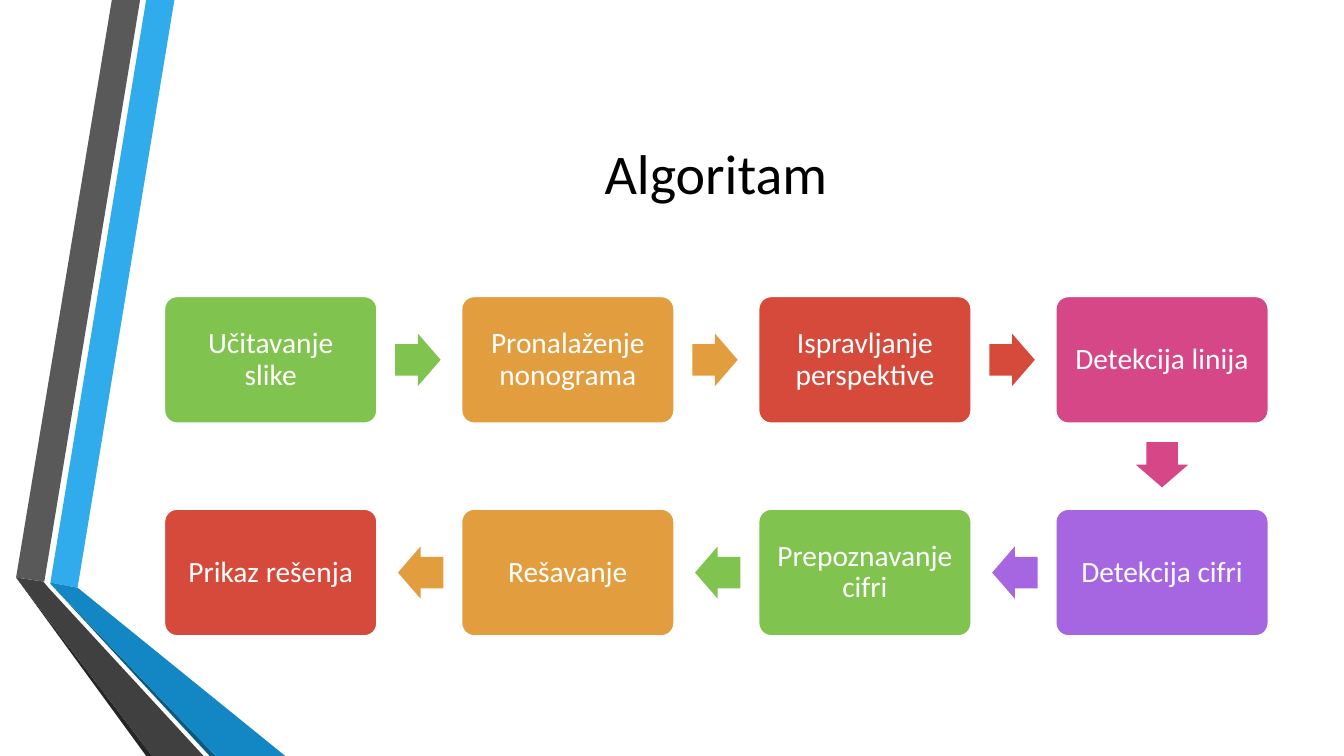
import pptx
import pptx.dml.color
import pptx.enum.shapes
import pptx.enum.text
import pptx.util

Inches = pptx.util.Inches
SHAPES = pptx.enum.shapes.MSO_SHAPE

RIBBONS = [
    ("30ACEC", [(0.5, 5.78), (0.77, 5.83), (1.73, 0), (1.45, 0)]),
    ("595959", [(1.39, 0), (1.11, 0), (0.16, 5.73), (0.44, 5.77)]),
    ("262626", [(0.16, 5.73), (1.45, 7.5), (1.51, 7.5)]),
    ("0C5A82", [(0.5, 5.79), (2.08, 7.5), (2.14, 7.5)]),
    ("1287C3", [(0.5, 5.79), (2.14, 7.5), (2.83, 7.5), (0.77, 5.83), (0.5, 5.78)]),
    ("404040", [(2.02, 7.5), (0.48, 5.83), (0.43, 5.77), (0.16, 5.73), (1.51, 7.5)]),
]
STEPS = [
    ("Učitavanje slike", "80C34F"),
    ("Pronalaženje nonograma", "E29D3E"),
    ("Ispravljanje perspektive", "D64A3B"),
    ("Detekcija linija", "D64787"),
    ("Detekcija cifri", "A666E1"),
    ("Prepoznavanje cifri", "80C34F"),
    ("Rešavanje", "E29D3E"),
    ("Prikaz rešenja", "D64A3B"),
]
COLUMNS = 4
STEP_WIDTH, STEP_HEIGHT = 2.11, 1.26
ARROW_WIDTH, ARROW_HEIGHT = 0.45, 0.52
ARROW_PLACES = {0: (2.29, 0.37), 90: (0.83, 1.41), 180: (-0.63, 0.37)}


def color(value):
    """Turn a hex string into a colour."""
    return pptx.dml.color.RGBColor.from_string(value)


def apply_format(target, values):
    """Set each attribute of the target from a dict."""
    for name, value in values.items():
        setattr(target, name, value)


def paint(shape, fill, line=None):
    """Give a shape a flat fill and an optional outline."""
    shape.shadow.inherit = False
    shape.fill.solid()
    shape.fill.fore_color.rgb = color(fill)
    if line:
        shape.line.color.rgb = color(line)
        shape.line.width = pptx.util.Pt(1.25)
    else:
        shape.line.fill.background()


def write_text(shape, text, size, text_color, margin, paragraph_format):
    """Write one centred paragraph into a shape."""
    frame = shape.text_frame
    frame.text = text
    apply_format(frame, {
        "word_wrap": True,
        "auto_size": pptx.enum.text.MSO_AUTO_SIZE.NONE,
        "vertical_anchor": pptx.enum.text.MSO_ANCHOR.MIDDLE,
        "margin_left": Inches(margin),
        "margin_right": Inches(margin),
    })
    paragraph = frame.paragraphs[0]
    paragraph.alignment = pptx.enum.text.PP_ALIGN.CENTER
    apply_format(paragraph, paragraph_format)
    font = paragraph.runs[0].font
    apply_format(font, {"name": "Calibri", "size": pptx.util.Pt(size)})
    font.color.rgb = color(text_color)


def add_ribbons(slide, left, top):
    """Draw the folded ribbons from the given corner."""
    for fill, points in RIBBONS:
        corners = [(Inches(left + x), Inches(top + y)) for x, y in points]
        builder = slide.shapes.build_freeform(*corners[0])
        builder.add_line_segments(corners[1:], close=True)
        paint(builder.convert_to_shape(), fill)


def add_title(slide, left, top, width, height):
    """Place the title in the given box."""
    title = slide.shapes.title
    apply_format(title, {"left": Inches(left), "top": Inches(top),
                         "width": Inches(width), "height": Inches(height)})
    write_text(title, "Algoritam", 40, "000000", 0.1, {})


def add_step(slide, left, top, text, fill):
    """Draw one rounded step of the algorithm."""
    step = slide.shapes.add_shape(SHAPES.ROUNDED_RECTANGLE, Inches(left), Inches(top),
                                  Inches(STEP_WIDTH), Inches(STEP_HEIGHT))
    step.adjustments[0] = 0.1
    paint(step, fill, "FFFFFF")
    write_text(step, text, 21, "FFFFFF", 0.13, {"line_spacing": 0.9})


def add_arrow(slide, left, top, rotation, fill):
    """Draw the arrow that leaves the step at the given corner."""
    offset_x, offset_y = ARROW_PLACES[rotation]
    arrow = slide.shapes.add_shape(SHAPES.RIGHT_ARROW,
                                   Inches(left + offset_x), Inches(top + offset_y),
                                   Inches(ARROW_WIDTH), Inches(ARROW_HEIGHT))
    arrow.adjustments[0] = 0.6
    arrow.adjustments[1] = 0.5
    arrow.rotation = rotation
    paint(arrow, fill)


def add_flow(slide, left, top, width, height):
    """Lay the steps out in a box, first row rightwards and second row back."""
    pitch_x = (width - STEP_WIDTH) / (COLUMNS - 1)
    pitch_y = height - STEP_HEIGHT
    for index, (text, fill) in enumerate(STEPS):
        row, column = divmod(index, COLUMNS)
        turning = column == COLUMNS - 1
        if row:
            column = COLUMNS - 1 - column
        x, y = left + column * pitch_x, top + row * pitch_y
        add_step(slide, x, y, text, fill)
        if index < len(STEPS) - 1:
            rotation = 90 if turning else 180 * row
            add_arrow(slide, x, y, rotation, fill)


def main():
    """Build and save the presentation."""
    presentation = pptx.Presentation()
    presentation.slide_width = Inches(13.33)
    presentation.slide_height = Inches(7.5)
    slide = presentation.slides.add_slide(presentation.slide_layouts[5])
    add_ribbons(slide, 0, 0)
    add_title(slide, 1.62, 0.75, 10.96, 1.92)
    add_flow(slide, 1.63, 2.94, 10.95, 3.37)
    presentation.save("out.pptx")


if __name__ == "__main__":
    main()
